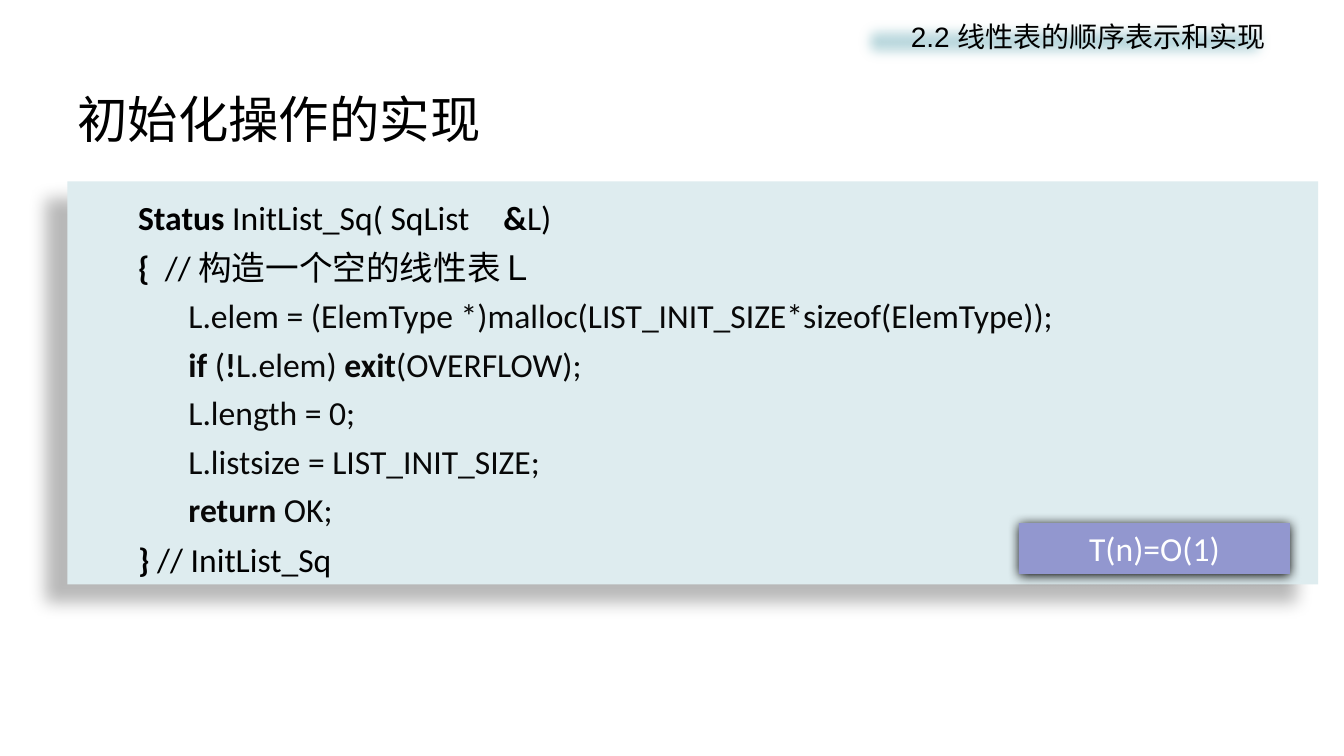
from dataclasses import dataclass

from lxml import etree
from pptx import Presentation
from pptx.dml.color import RGBColor
from pptx.enum.shapes import MSO_SHAPE
from pptx.enum.text import MSO_ANCHOR, MSO_AUTO_SIZE, PP_ALIGN
from pptx.oxml.ns import qn
from pptx.util import Cm, Pt

RECTANGLE = MSO_SHAPE.RECTANGLE
TOP, MIDDLE = MSO_ANCHOR.TOP, MSO_ANCHOR.MIDDLE
GROW = MSO_AUTO_SIZE.SHAPE_TO_FIT_TEXT
LEFT, CENTER, RIGHT = PP_ALIGN.LEFT, PP_ALIGN.CENTER, PP_ALIGN.RIGHT


@dataclass(frozen=True)
class Theme:
    black: str = "000000"
    code: str = "080808"
    white: str = "FFFFFF"
    header_fill: str = "BDDADF"
    code_fill: str = "DEECEF"
    badge_fill: str = "9297CF"
    title_font: str = "Times New Roman"
    header_font: str = "Arial"
    code_font: str = "Calibri"
    title_size: int = 36
    header_size: int = 20
    code_size: int = 24


CODE_LINES = [
    (1, [("Status ", True), ("InitList_Sq( SqList　", False), ("&", True), ("L)", False)]),
    (1, [("{", True), ("  // 构造一个空的线性表Ｌ", False)]),
    (2, [("L.elem = (ElemType *)malloc(LIST_INIT_SIZE*sizeof(ElemType));", False)]),
    (2, [("if", True), (" (", False), ("!", True), ("L.elem) ", False),
         ("exit", True), ("(OVERFLOW);", False)]),
    (2, [("L.length = 0;", False)]),
    (2, [("L.listsize = LIST_INIT_SIZE;", False)]),
    (2, [("return", True), (" OK;", False)]),
    (1, [("}", True), (" // InitList_Sq", False)]),
]


def add_text(paragraph, text, *, font, size, color, bold=False):
    run = paragraph.add_run()
    run.text = text
    run.font.name = font
    run.font.size = Pt(size)
    run.font.bold = bold
    run.font.color.rgb = RGBColor.from_string(color)


def add_effect(shape, name, **attributes):
    effects = shape._element.spPr.find(qn("a:effectLst"))
    values = {key: str(value) for key, value in attributes.items()}
    return etree.SubElement(effects, qn(name), values)


class SlideBuilder:
    def __init__(self, slide, theme):
        self.slide = slide
        self.theme = theme

    def frame(self, shape, anchor=TOP, inset=0.25):
        frame = shape.text_frame
        frame.word_wrap = True
        frame.vertical_anchor = anchor
        frame.margin_left = frame.margin_right = Cm(inset)
        frame.margin_top = frame.margin_bottom = Cm(0.13)
        return frame

    def panel(self, left, top, width, height, fill):
        shape = self.slide.shapes.add_shape(
            RECTANGLE, Cm(left), Cm(top), Cm(width), Cm(height))
        shape.shadow.inherit = False
        shape.fill.solid()
        shape.fill.fore_color.rgb = RGBColor.from_string(fill)
        shape.line.fill.background()
        return shape

    def shadow(self, shape, opacity, blur, distance, angle):
        shadow = add_effect(shape, "a:outerShdw", blurRad=Pt(blur), dist=Pt(distance),
                            dir=angle * 60000, algn="ctr", rotWithShape=0)
        color = etree.SubElement(shadow, qn("a:srgbClr"), val=self.theme.black)
        etree.SubElement(color, qn("a:alpha"), val=str(opacity * 1000))

    def title(self, text):
        box = self.slide.shapes.add_textbox(Cm(1.7), Cm(2.03), Cm(30.48), Cm(1.91))
        paragraph = self.frame(box, MIDDLE).paragraphs[0]
        add_text(paragraph, text, font=self.theme.title_font,
                 size=self.theme.title_size, color=self.theme.black)

    def header(self, text):
        shape = self.panel(21.49, 0.36, 10.67, 1.37, self.theme.header_fill)
        add_effect(shape, "a:softEdge", rad=Pt(10))
        paragraph = self.frame(shape).paragraphs[0]
        paragraph.alignment = RIGHT
        add_text(paragraph, text, font=self.theme.header_font,
                 size=self.theme.header_size, color=self.theme.black)

    def code(self, lines):
        shape = self.panel(1.7, 4.57, 31.52, 10.16, self.theme.code_fill)
        self.shadow(shape, 28, 11.8, 19.7, 141)
        frame = self.frame(shape, inset=0.51)
        frame.auto_size = GROW
        for index, (depth, runs) in enumerate(lines):
            paragraph = frame.add_paragraph() if index else frame.paragraphs[0]
            paragraph.alignment = LEFT
            paragraph.level = depth
            paragraph.line_spacing = 1.25 if depth == 1 else 1.2
            properties = paragraph._p.get_or_add_pPr()
            properties.set("marL", str(Cm(1.27 * depth)))
            properties.set("indent", "0")
            color = self.theme.black if depth == 1 else self.theme.code
            for text, bold in runs:
                add_text(paragraph, text, font=self.theme.code_font,
                         size=self.theme.code_size, color=color, bold=bold)

    def badge(self, text):
        shape = self.panel(25.68, 13.18, 6.83, 1.28, self.theme.badge_fill)
        self.shadow(shape, 100, 8.5, 1, 90)
        frame = self.frame(shape)
        frame.auto_size = GROW
        paragraph = frame.paragraphs[0]
        paragraph.alignment = CENTER
        add_text(paragraph, text, font=self.theme.code_font,
                 size=self.theme.code_size, color=self.theme.white)


def main():
    presentation = Presentation()
    presentation.slide_width = Cm(33.87)
    presentation.slide_height = Cm(19.05)
    slide = presentation.slides.add_slide(presentation.slide_layouts[6])
    builder = SlideBuilder(slide, Theme())
    builder.title("初始化操作的实现")
    builder.header("2.2 线性表的顺序表示和实现")
    builder.code(CODE_LINES)
    builder.badge("T(n)=O(1)")
    presentation.save("out.pptx")


if __name__ == "__main__":
    main()
